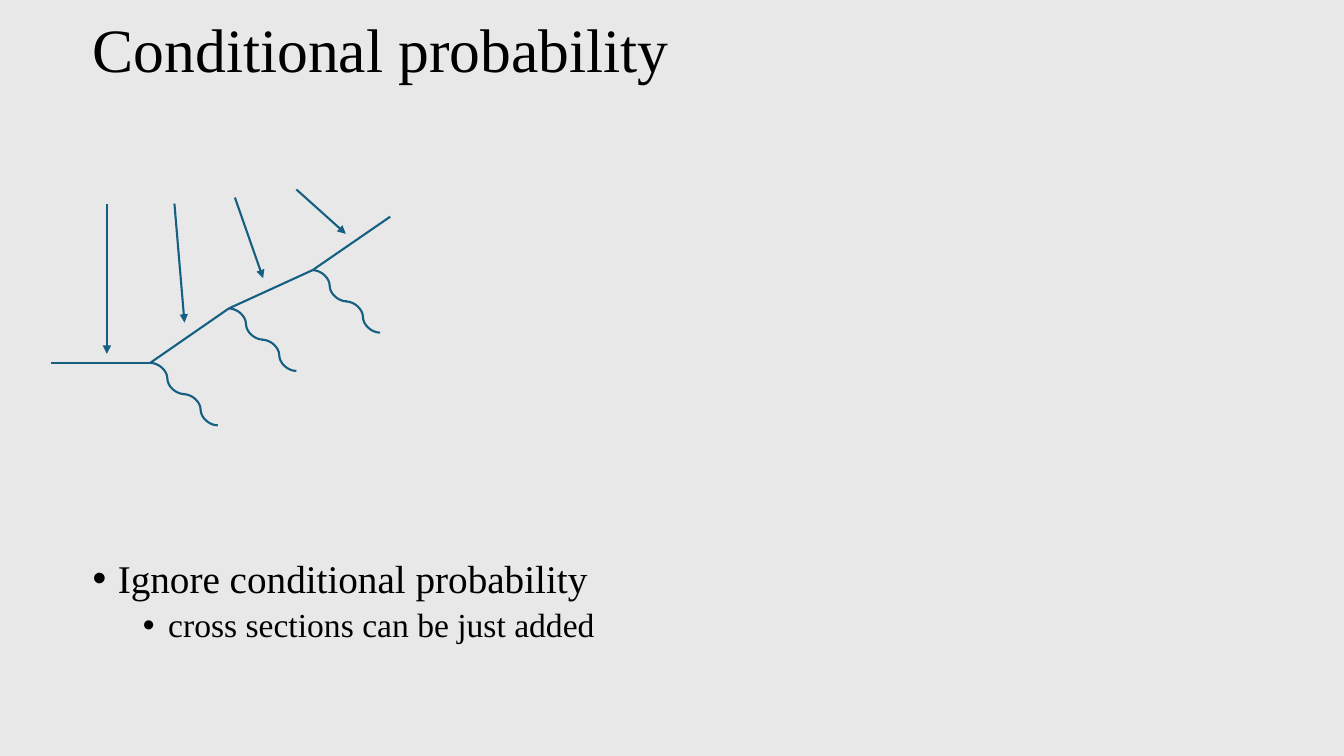
from pptx import Presentation
from pptx.enum import shapes, text
from pptx.dml.color import RGBColor
from pptx.oxml.ns import qn
from pptx.util import Inches, Pt
from lxml import etree

COLORS = {"back": "E8E8E8", "ink": "000000", "line": "156082"}
FONT = "Times New Roman"

deck = Presentation()
deck.slide_width, deck.slide_height = Inches(13.33), Inches(7.5)
slide = deck.slides.add_slide(deck.slide_layouts[6])
slide.background.fill.solid()
slide.background.fill.fore_color.rgb = RGBColor.from_string(COLORS["back"])


def add_text(top, height, anchor, lines):
    """Each line: words, size, left indent (None for no bullet), space before."""
    frame = slide.shapes.add_textbox(
        Inches(0.82), Inches(top), Inches(11.5), Inches(height)).text_frame
    frame.word_wrap = True
    frame.vertical_anchor = anchor
    for i, (words, size, indent, gap) in enumerate(lines):
        para = frame.add_paragraph() if i else frame.paragraphs[0]
        if indent is not None:
            props = para._p.get_or_add_pPr()
            props.set("marL", str(Inches(indent)))
            props.set("indent", str(Inches(-0.25)))
            etree.SubElement(props, qn("a:buFont"), typeface="Arial")
            etree.SubElement(props, qn("a:buChar"), char="•")
            para.level = i
        para.line_spacing = 0.9
        para.space_before = Pt(gap)
        run = para.add_run()
        run.text = words
        run.font.name, run.font.size = FONT, Pt(size)
        run.font.color.rgb = RGBColor.from_string(COLORS["ink"])


def add_line(start, end, kind=shapes.MSO_CONNECTOR.STRAIGHT, arrow=False):
    link = slide.shapes.add_connector(kind, *map(Inches, (*start, *end)))
    link.line.color.rgb = RGBColor.from_string(COLORS["line"])
    link.line.width = Pt(1.5)
    if arrow:
        etree.SubElement(link.line._get_or_add_ln(), qn("a:tailEnd"), type="triangle")
    etree.SubElement(link._element.spPr, qn("a:effectLst"))


# Title and bullets
add_text(0.03, 0.99, text.MSO_ANCHOR.MIDDLE,
         [("Conditional probability", 44, None, 0)])
add_text(5.5, 1.27, text.MSO_ANCHOR.TOP,
         [("Ignore conditional probability", 28, 0.25, 0),
          ("cross sections can be just added", 24, 0.75, 5)])

# Particle track, with a wavy ray of two curves at each bend
track = [(0.51, 3.6), (1.49, 3.6), (2.27, 3.06), (3.1, 2.68), (3.87, 2.15)]
for start, end in zip(track, track[1:]):
    add_line(start, end)
for x, y in track[1:-1]:
    for step in (0, 1):
        left, top = x + 0.33 * step, y + 0.31 * step
        add_line((left, top), (left + 0.34, top + 0.31), shapes.MSO_CONNECTOR.CURVE)

# Arrows that point at the track segments
arrows = [((1.06, 2.02), (1.06, 3.51)), ((1.73, 2.02), (1.83, 3.2)),
          ((2.33, 1.96), (2.61, 2.76)), ((2.94, 1.88), (3.43, 2.32))]
for start, end in arrows:
    add_line(start, end, arrow=True)

deck.save("out.pptx")
